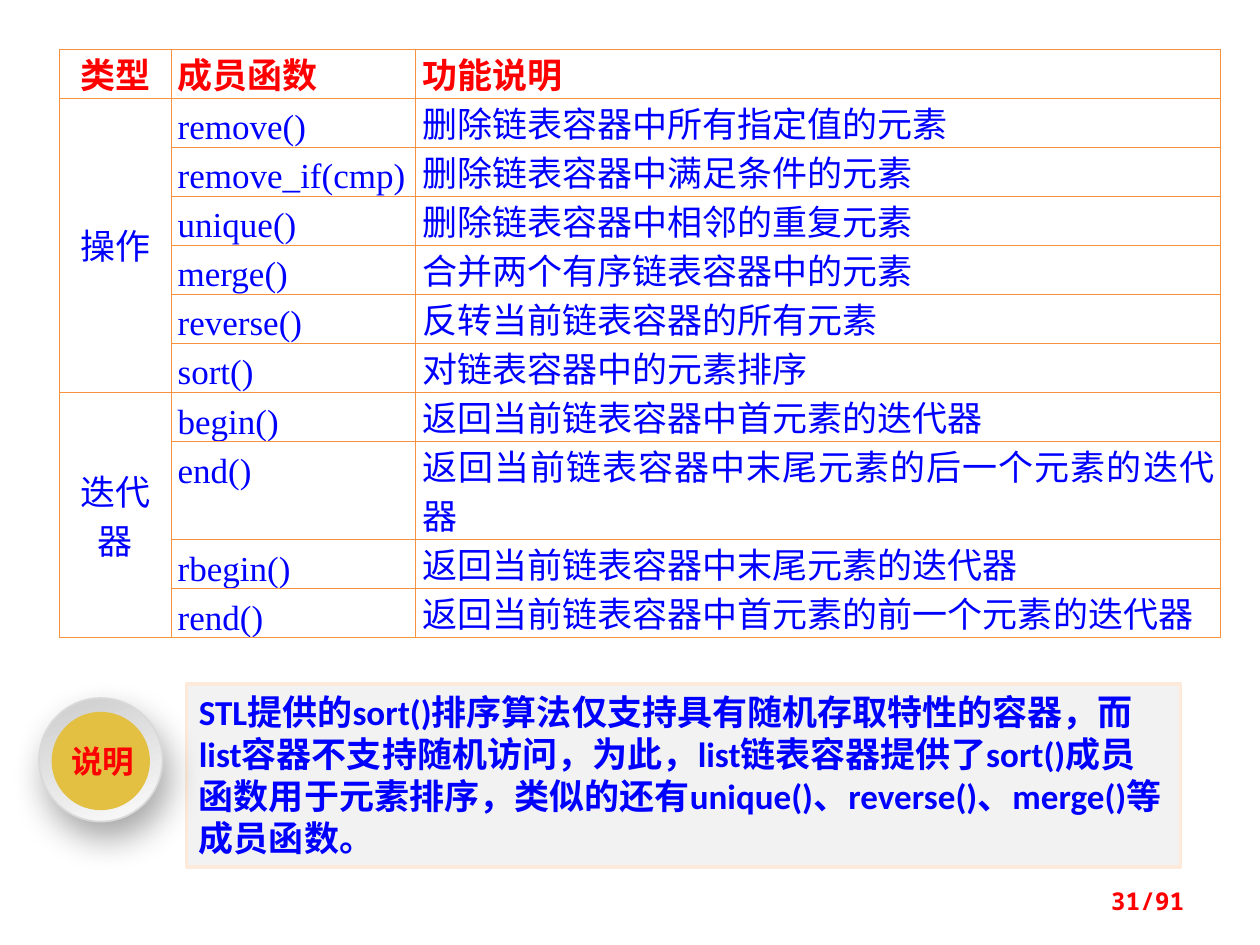
from lxml import etree
from pptx import Presentation, util as u
from pptx.dml.color import RGBColor
from pptx.enum import shapes, text
from pptx.oxml import parse_xml
from pptx.oxml.ns import qn, nsdecls

RED = RGBColor(0xFF, 0x00, 0x00)
BLUE = RGBColor(0x00, 0x00, 0xFF)
WHITE = RGBColor(0xFF, 0xFF, 0xFF)
PALE = RGBColor(0xF2, 0xF2, 0xF2)
PEACH = RGBColor(0xFD, 0xEA, 0xDA)
GOLD = RGBColor(0xE3, 0xBF, 0x42)
GREY = RGBColor(0xD9, 0xD9, 0xD9)
DARK = RGBColor(0xCC, 0xCC, 0xCC)
LIGHT = RGBColor(0xFC, 0xFC, 0xFC)
EDGE = "F69240"
CJK = "Noto Sans CJK SC"


def write(frame, words, size, face, color, bold, align, east=CJK):
    para = frame.paragraphs[0]
    para.text = words
    para.alignment = align
    font = para.font
    font.size, font.name, font.bold = u.Pt(size), face, bold
    font.color.rgb = color
    # East Asian face, on the run and on the paragraph default
    for props in (font._element, para.runs[0]._r.get_or_add_rPr()):
        etree.SubElement(props, qn("a:ea")).set("typeface", east)
    return para


def place(group, kind, left, top, size):
    disc = group.add_shape(kind, u.Inches(left), u.Inches(top),
                           u.Inches(size), u.Inches(size))
    disc.shadow.inherit = False
    return disc


deck = Presentation()
deck.slide_width, deck.slide_height = u.Inches(10), u.Inches(7.5)
slide = deck.slides.add_slide(deck.slide_layouts[6])
LEFT, MID, RIGHT = text.PP_ALIGN.LEFT, text.PP_ALIGN.CENTER, text.PP_ALIGN.RIGHT
JUST = text.PP_ALIGN.JUSTIFY

# Table of list member functions
rows = [
    ("类型", "成员函数", "功能说明"),
    ("操作", "remove()", "删除链表容器中所有指定值的元素"),
    ("", "remove_if(cmp)", "删除链表容器中满足条件的元素"),
    ("", "unique()", "删除链表容器中相邻的重复元素"),
    ("", "merge()", "合并两个有序链表容器中的元素"),
    ("", "reverse()", "反转当前链表容器的所有元素"),
    ("", "sort()", "对链表容器中的元素排序"),
    ("迭代器", "begin()", "返回当前链表容器中首元素的迭代器"),
    ("", "end()", "返回当前链表容器中末尾元素的后一个元素的迭代器"),
    ("", "rbegin()", "返回当前链表容器中末尾元素的迭代器"),
    ("", "rend()", "返回当前链表容器中首元素的前一个元素的迭代器"),
]
cols = (0.89, 1.94, 6.39)
pitch = u.Pt(28)
grid = slide.shapes.add_table(len(rows), len(cols), u.Inches(0.47), u.Inches(0.39),
                              u.Inches(sum(cols)), pitch * len(rows)).table
for col, wide in zip(grid.columns, cols):
    col.width = u.Inches(wide)
for r, row in enumerate(rows):
    grid.rows[r].height = pitch
    for c, words in enumerate(row):
        cell = grid.cell(r, c)
        cell.margin_left = cell.margin_right = u.Inches(0.05)
        cell.margin_top = cell.margin_bottom = 0
        props = cell._tc.get_or_add_tcPr()
        for side in ("lnL", "lnR", "lnT", "lnB"):
            props.append(parse_xml(
                f'<a:{side} {nsdecls("a")} w="9525"><a:solidFill>'
                f'<a:srgbClr val="{EDGE}"/></a:solidFill></a:{side}>'))
        cell.fill.solid()
        cell.fill.fore_color.rgb = WHITE
        if c == 0:
            cell.vertical_anchor = text.MSO_ANCHOR.MIDDLE
        if words:
            para = write(cell.text_frame, words, 20, "Times New Roman",
                         BLUE if r else RED, r == 0, JUST if c else MID)
            para.line_spacing = pitch
for first, last in ((1, 6), (7, 10)):
    grid.cell(first, 0).merge(grid.cell(last, 0))

# Note box
note = slide.shapes.add_shape(shapes.MSO_SHAPE.RECTANGLE, u.Inches(1.48),
                              u.Inches(5.43), u.Inches(7.89), u.Inches(1.45))
note.shadow.inherit = False
note.fill.solid()
note.fill.fore_color.rgb = PALE
note.line.color.rgb = PEACH
note.line.width = u.Pt(2)
note.text_frame.word_wrap = True
note.text_frame.vertical_anchor = text.MSO_ANCHOR.TOP
write(note.text_frame,
      "STL提供的sort()排序算法仅支持具有随机存取特性的容器，而list容器不支持随机访问，"
      "为此，list链表容器提供了sort()成员函数用于元素排序，类似的还有unique()、"
      "reverse()、merge()等成员函数。", 20, "Calibri", BLUE, True, LEFT, "Calibri")

# Round badge: shaded ring, gold disc, label
badge = slide.shapes.add_group_shape().shapes
ring = place(badge, shapes.MSO_SHAPE.OVAL, 0.31, 5.54, 0.98)
ring.fill.gradient()
ring.fill.gradient_angle = 290
for stop, color, spot in zip(ring.fill.gradient_stops, (DARK, LIGHT), (0, 1)):
    stop.color.rgb = color
    stop.position = spot
ring.line.color.rgb = GREY
ring.line.width = u.Pt(1)
glow = ring._element.spPr.find(qn("a:effectLst"))
glow.append(parse_xml(
    f'<a:outerShdw {nsdecls("a")} blurRad="{u.Pt(20)}" dist="{u.Pt(10)}" '
    f'dir="{70 * 60000}" algn="ctr" rotWithShape="0"><a:srgbClr val="000000">'
    '<a:alpha val="34000"/></a:srgbClr></a:outerShdw>'))
disc = place(badge, shapes.MSO_SHAPE.OVAL, 0.41, 5.65, 0.78)
disc.fill.solid()
disc.fill.fore_color.rgb = GOLD
disc.line.fill.background()
label = badge.add_textbox(u.Inches(0.46), u.Inches(5.9), u.Inches(0.71), u.Inches(0.34))
label.text_frame.word_wrap = False
write(label.text_frame, "说明", 18, CJK, RED, True, MID).line_spacing = 0.8

# Page number
page = slide.shapes.add_textbox(u.Inches(7.17), u.Inches(6.95), u.Inches(2.33), u.Inches(0.4))
page.text_frame.word_wrap = True
page.text_frame.vertical_anchor = text.MSO_ANCHOR.MIDDLE
write(page.text_frame, "31/91", 14, "Noto Sans Mono", RED, True, RIGHT)

deck.save("out.pptx")
